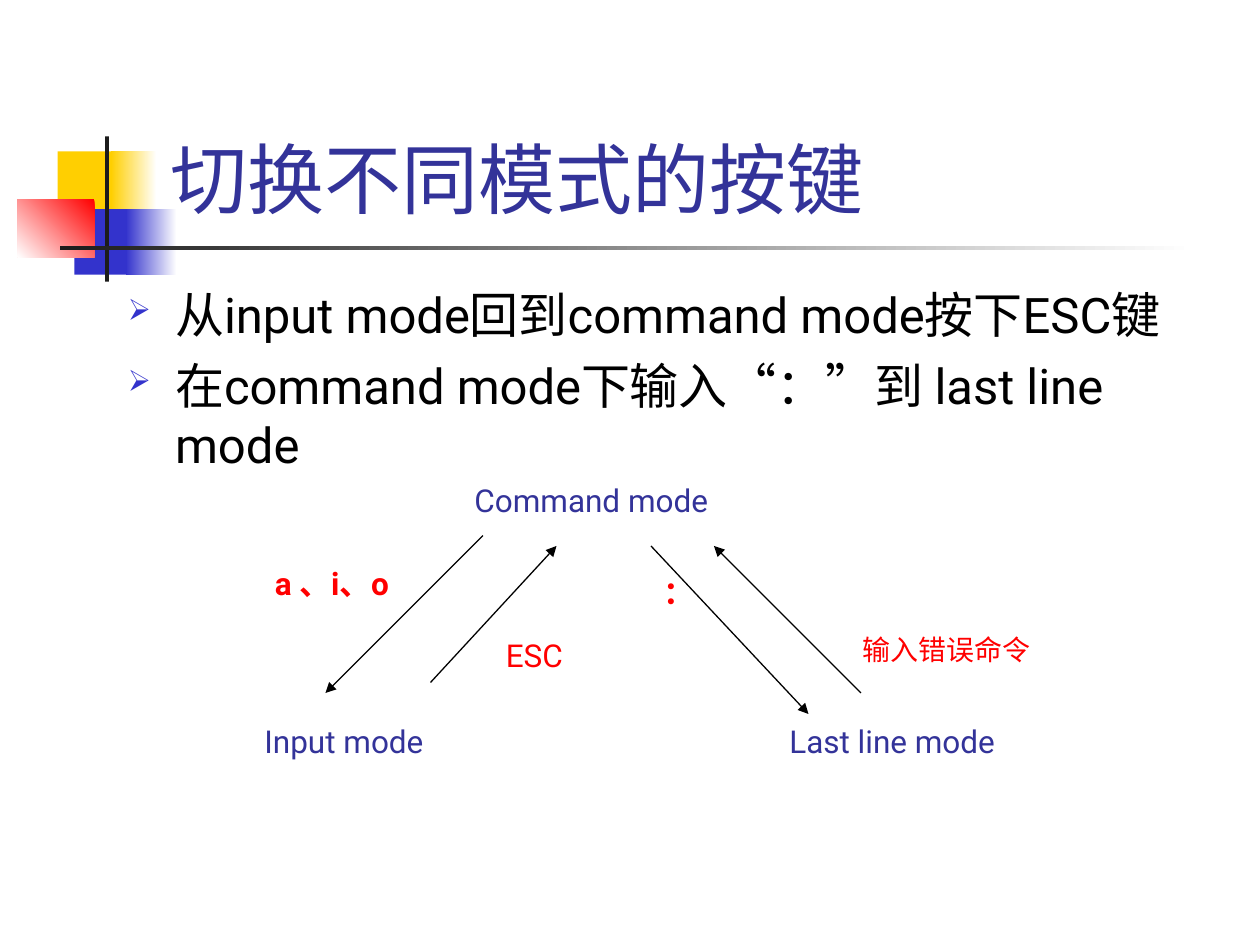
from lxml import etree
from pptx import Presentation
from pptx.dml.color import RGBColor
from pptx.enum.shapes import MSO_CONNECTOR, MSO_SHAPE
from pptx.enum.text import MSO_ANCHOR, MSO_AUTO_SIZE, PP_ALIGN
from pptx.oxml.ns import qn
from pptx.util import Pt

FONT = "Roboto"
INDIGO, BLUE, RED, YELLOW = "333399", "3333CC", "FF0000", "FFCF01"
BLACK, CHARCOAL, WHITE = "000000", "1C1C1C", "FFFFFF"


def colour(value):
    return RGBColor.from_string(value)


def add_run(paragraph, text, size, ink, bold=False):
    run = paragraph.add_run()
    run.text = text
    run.font.name = FONT
    run.font.size = Pt(size)
    run.font.bold = bold
    run.font.color.rgb = colour(ink)


def add_element(parent, tag, **attributes):
    return etree.SubElement(parent, qn(tag), attributes)


def add_block(slide, left, top, width, height, start, end=None, angle=180):
    block = slide.shapes.add_shape(
        MSO_SHAPE.RECTANGLE, Pt(left), Pt(top), Pt(width), Pt(height))
    block.shadow.inherit = False
    block.line.fill.background()
    if end is None:
        block.fill.solid()
        block.fill.fore_color.rgb = colour(start)
        return
    block.fill.gradient()
    block.fill.gradient_angle = angle
    for stop, tint in zip(block.fill.gradient_stops, (start, end)):
        stop.color.rgb = colour(tint)


def add_ornament(slide, left, top):
    blocks = [
        (23, 8.5, 34.5, 37.5, YELLOW),
        (53.5, 8.5, 26, 37.5, WHITE, YELLOW),
        (32.5, 41.5, 33, 37.5, BLUE),
        (62, 41.5, 29, 37.5, WHITE, BLUE),
        (0, 36, 44, 33, RED, WHITE, 225),
        (50, 0, 2.3, 83, CHARCOAL),
        (24.5, 62.4, 648, 2.3, WHITE, CHARCOAL),
    ]
    for x, y, *look in blocks:
        add_block(slide, left + x, top + y, *look)


def add_title(slide, left, top, width, height):
    title = slide.shapes.title
    title.left, title.top = Pt(left), Pt(top)
    title.width, title.height = Pt(width), Pt(height)
    frame = title.text_frame
    frame.auto_size = MSO_AUTO_SIZE.NONE
    frame.vertical_anchor = MSO_ANCHOR.BOTTOM
    heading = frame.paragraphs[0]
    heading.alignment = PP_ALIGN.LEFT
    add_run(heading, "切换不同模式的按键", 44, INDIGO)


def add_key_rules(slide, left, top, width, height):
    box = slide.shapes.add_textbox(Pt(left), Pt(top), Pt(width), Pt(height))
    frame = box.text_frame
    frame.word_wrap = True
    rules = ["从input mode回到command mode按下ESC键",
             "在command mode下输入“：”到 last line mode"]
    for index, rule in enumerate(rules):
        paragraph = frame.add_paragraph() if index else frame.paragraphs[0]
        properties = paragraph._p.get_or_add_pPr()
        properties.set("marL", str(Pt(27)))
        properties.set("indent", str(Pt(-27)))
        bullet_colour = add_element(properties, "a:buClr")
        add_element(bullet_colour, "a:srgbClr", val=BLUE)
        add_element(properties, "a:buSzPct", val="60000")
        add_element(properties, "a:buChar", char="➢")
        if index:
            paragraph.space_before = Pt(7)
        add_run(paragraph, rule, 28, BLACK)


def add_label(slide, left, top, width, height, text, ink, size=18, bold=False):
    label = slide.shapes.add_textbox(Pt(left), Pt(top), Pt(width), Pt(height))
    label.text_frame.word_wrap = True
    add_run(label.text_frame.paragraphs[0], text, size, ink, bold)


def add_arrow(slide, x1, y1, x2, y2):
    arrow = slide.shapes.add_connector(
        MSO_CONNECTOR.STRAIGHT, Pt(x1), Pt(y1), Pt(x2), Pt(y2))
    arrow.line.color.rgb = colour(BLACK)
    arrow.line.width = Pt(0.75)
    add_element(arrow.line._get_or_add_ln(), "a:tailEnd", type="triangle")
    add_element(arrow._element.spPr, "a:effectLst")


def add_mode_diagram(slide, left, top):
    modes = [
        (120, 0, 192, 29, "Command mode"),
        (0, 137.5, 174, 29, "Input mode"),
        (300, 137.5, 144, 29, "Last line mode"),
    ]
    for x, y, width, height, mode in modes:
        add_label(slide, left + x, top + y, width, height, mode, INDIGO)
    switches = [
        ((132, 34.5), (42, 124.5), (6, 47.5, 84, 50), "a 、i、o", 18, True),
        ((102, 118.5), (174, 40.5), (138, 88.5, 54, 29), "ESC", 18, False),
        ((228, 40.5), (318, 136.5), (228, 52.5, 60, 29), "：", 18, True),
        ((348, 124.5), (264, 40.5), (342, 86.5, 120, 26.5),
         "输入错误命令", 16, False),
    ]
    for (x1, y1), (x2, y2), (x, y, width, height), key, size, bold in switches:
        add_arrow(slide, left + x1, top + y1, left + x2, top + y2)
        add_label(slide, left + x, top + y, width, height, key, RED, size, bold)


def main():
    deck = Presentation()
    deck.slide_width, deck.slide_height = Pt(720), Pt(540)
    slide = deck.slides.add_slide(deck.slide_layouts[5])
    add_ornament(slide, 10, 78)
    add_title(slide, 90.5, 16.5, 613.5, 115)
    add_key_rules(slide, 66, 159, 639.5, 324)
    add_mode_diagram(slide, 144, 271.5)
    deck.save("out.pptx")


if __name__ == "__main__":
    main()
